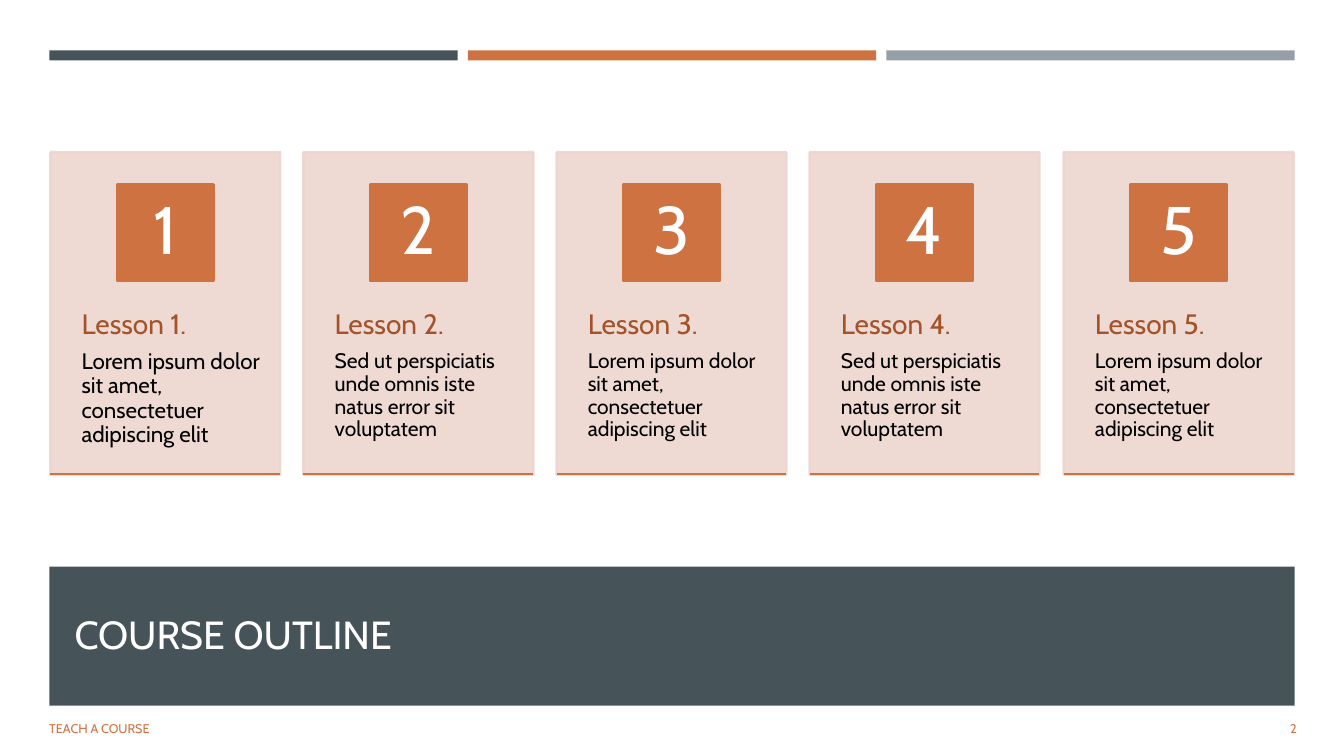
from lxml.etree import SubElement
from pptx import Presentation
from pptx.dml.color import RGBColor
from pptx.enum.shapes import MSO_CONNECTOR, MSO_SHAPE
from pptx.enum.text import MSO_ANCHOR, PP_ALIGN
from pptx.oxml.ns import qn
from pptx.util import Emu, Pt

PX = 9144
FONT = "Cabin"
SLATE, ORANGE, GREY = "465359", "CE7242", "969FA7"
BLUSH, RUST, WHITE, BLACK = "EDD5CF", "A2532A", "FFFFFF", "000000"
CARD_WIDTH, CARD_TOP, CARD_HEIGHT = 228, 151, 320
FIRST_LEFT, LAST_LEFT = 50, 1055
BADGE = 96
LOREM = "Lorem ipsum dolor sit amet, consectetuer adipiscing elit"
SED_UT = "Sed ut perspiciatis unde omnis iste natus error sit voluptatem"
LESSONS = [(LOREM, 16), (SED_UT, 15), (LOREM, 15), (SED_UT, 15), (LOREM, 15)]


def px(*lengths):
    """Turn pixel lengths into EMU."""
    return [Emu(length * PX) for length in lengths]


def paint(color_format, color):
    """Give a fill, line or font colour its hex value."""
    color_format.rgb = RGBColor.from_string(color)


def add_block(slide, box, color, outline=None):
    """Add a filled rectangle, with an outline if a width is given."""
    block = slide.shapes.add_shape(MSO_SHAPE.RECTANGLE, *px(*box))
    block.shadow.inherit = False
    block.fill.solid()
    paint(block.fill.fore_color, color)
    if outline:
        block.line.width = Pt(outline)
        paint(block.line.color, color)
    else:
        block.line.fill.background()
    return block


def make_translucent(block, percent):
    """Set the opacity of a block's fill and outline."""
    for color in block._element.spPr.iter(qn("a:srgbClr")):
        SubElement(color, qn("a:alpha"), val=str(percent * 1000))


def set_insets(frame, left, top, right, bottom):
    """Set the four inner margins of a text frame."""
    frame.margin_left, frame.margin_top, frame.margin_right, frame.margin_bottom = px(
        left, top, right, bottom)


def write(paragraph, text, size, color, align=PP_ALIGN.LEFT, after=0, spacing=None):
    """Fill a paragraph and format its text."""
    paragraph.text = text
    paragraph.alignment = align
    paragraph.space_after = Pt(after)
    paragraph.line_spacing = spacing
    for run in paragraph.runs:
        run.font.name = FONT
        run.font.size = Pt(size)
        paint(run.font.color, color)


def add_text_box(slide, box):
    """Add a wrapping text box and return its frame."""
    frame = slide.shapes.add_textbox(*px(*box)).text_frame
    frame.word_wrap = True
    return frame


def add_title(slide, text):
    """Place the title on its dark band."""
    band = add_block(slide, (49, 562, 1235, 138), SLATE)
    title = slide.shapes.title
    title._element.addprevious(band._element)
    title.left, title.top, title.width, title.height = px(64, 576, 1206, 105)
    title.text_frame.vertical_anchor = MSO_ANCHOR.MIDDLE
    write(title.text_frame.paragraphs[0], text, 28, "FFFEFF")


def add_footer(slide, box, text, align):
    """Add a small line of footer text."""
    frame = add_text_box(slide, box)
    frame.vertical_anchor = MSO_ANCHOR.MIDDLE
    write(frame.paragraphs[0], text, 9, ORANGE, align, after=6)


def add_badge(slide, left, number):
    """Add the square that carries a lesson number."""
    badge = add_block(slide, (left, 183, BADGE, BADGE), ORANGE, 1.75)
    frame = badge.text_frame
    frame.vertical_anchor = MSO_ANCHOR.MIDDLE
    set_insets(frame, 7, 1, 7, 1)
    write(frame.paragraphs[0], str(number), 48, WHITE, PP_ALIGN.CENTER, 17, 0.9)


def add_underline(slide, left):
    """Add the line along the bottom of a card."""
    bottom = CARD_TOP + CARD_HEIGHT - 1
    underline = slide.shapes.add_connector(
        MSO_CONNECTOR.STRAIGHT, *px(left, bottom, left + CARD_WIDTH, bottom))
    underline.line.width = Pt(1.75)
    paint(underline.line.color, ORANGE)
    SubElement(underline._element.spPr, qn("a:effectLst"))


def add_lesson(slide, left, number, summary, size):
    """Add one lesson card."""
    card = add_block(slide, (left, CARD_TOP, CARD_WIDTH, CARD_HEIGHT), BLUSH, 1.75)
    make_translucent(card, 90)
    frame = add_text_box(slide, (left, 272, CARD_WIDTH, 192))
    set_insets(frame, 31, 36, 18, 36)
    write(frame.paragraphs[0], f"Lesson {number}.", 20, RUST, after=7, spacing=0.9)
    write(frame.add_paragraph(), summary, size, BLACK, after=5, spacing=0.9)
    add_badge(slide, left + (CARD_WIDTH - BADGE) // 2, number)
    add_underline(slide, left)


def main():
    """Build the course outline slide."""
    deck = Presentation()
    deck.slide_width, deck.slide_height = px(1333, 750)
    slide = deck.slides.add_slide(deck.slide_layouts[5])
    add_title(slide, "COURSE OUTLINE")
    for index, color in enumerate((SLATE, ORANGE, GREY)):
        add_block(slide, (49 + index * 415, 50, 405, 10), color)
    add_footer(slide, (39, 703, 756, 40), "TEACH A COURSE", PP_ALIGN.LEFT)
    add_footer(slide, (1181, 703, 115, 40), "2", PP_ALIGN.RIGHT)
    for index, (summary, size) in enumerate(LESSONS):
        left = FIRST_LEFT + index * (LAST_LEFT - FIRST_LEFT) // (len(LESSONS) - 1)
        add_lesson(slide, left, index + 1, summary, size)
    deck.save("out.pptx")


if __name__ == "__main__":
    main()
